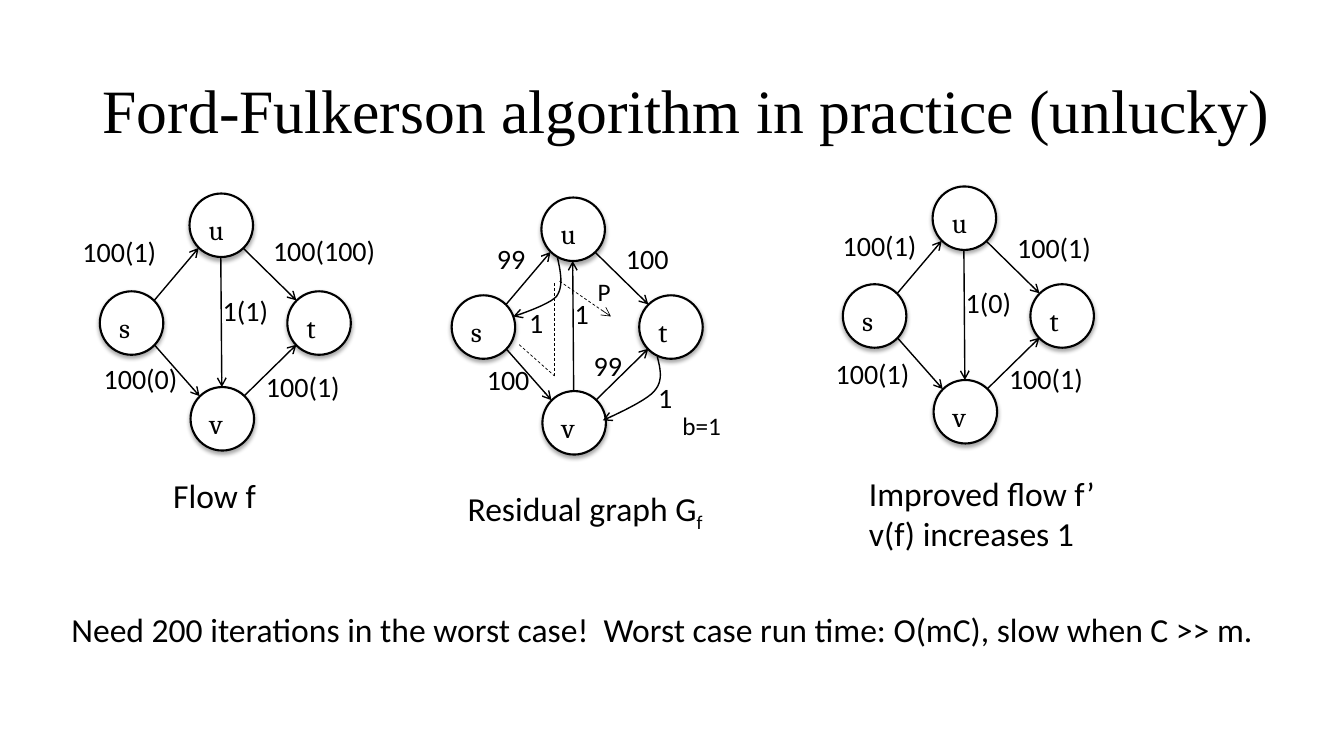
from lxml import etree
from pptx import Presentation
from pptx import util as u
from pptx.dml import color
from pptx.enum import dml, shapes, text
from pptx.oxml import ns

HUES = {"ink": "000000", "paper": "FFFFFF"}


class Board:
    """Holds the style and the current slide and draws each kind of element."""

    fonts = {"title": "Times New Roman", "node": "Cambria", "body": "Calibri"}
    size = 0.63

    def __init__(self, slide):
        self.slide = slide
        self.items = slide.shapes

    def hue(self, name):
        return color.RGBColor.from_string(HUES[name])

    def style(self, para, size, face="body"):
        para.font.size = u.Pt(size)
        para.font.name = self.fonts[face]
        para.font.color.rgb = self.hue("ink")

    def stroke(self, item, width, dash=False, arrow=False):
        item.line.color.rgb = self.hue("ink")
        item.line.width = u.Pt(width)
        if dash:
            item.line.dash_style = dml.MSO_LINE.DASH
        if arrow:
            line = item._element.spPr.find(ns.qn("a:ln"))
            etree.SubElement(line, ns.qn("a:tailEnd"), type="arrow")

    def title(self, words, x, y, w, h):
        box = self.items.add_textbox(*map(u.Inches, (x, y, w, h)))
        frame = box.text_frame
        frame.word_wrap = True
        frame.vertical_anchor = text.MSO_ANCHOR.MIDDLE
        para = frame.paragraphs[0]
        para.text = words
        para.line_spacing = 0.9
        self.style(para, 44, "title")

    def note(self, lines, x, y, w, h=0.5, size=24, sub=None):
        box = self.items.add_textbox(*map(u.Inches, (x, y, w, h)))
        frame = box.text_frame
        frame.word_wrap = False
        frame.auto_size = text.MSO_AUTO_SIZE.SHAPE_TO_FIT_TEXT
        frame.text = lines
        if sub:
            run = frame.paragraphs[0].add_run()
            run.text = sub
            run._r.get_or_add_rPr().set("baseline", "-25000")
        for para in frame.paragraphs:
            self.style(para, size)

    def label(self, words, x, y):
        marks = sum(sign in "()" for sign in words)
        wide = 0.2 + 0.14 * (len(words) - marks) + 0.09 * marks
        self.note(words, x, y, wide, 0.44, 20)

    def node(self, name, x, y):
        disc = self.items.add_shape(
            shapes.MSO_SHAPE.OVAL, *map(u.Inches, (x, y, self.size, self.size)))
        disc.fill.solid()
        disc.fill.fore_color.rgb = self.hue("paper")
        self.stroke(disc, 1.5)
        disc.shadow.inherit = False
        glow = etree.SubElement(
            disc._element.spPr.find(ns.qn("a:effectLst")), ns.qn("a:outerShdw"),
            blurRad=str(u.Pt(3)), dist=str(u.Pt(2)), dir="5400000", rotWithShape="0")
        tint = etree.SubElement(glow, ns.qn("a:srgbClr"), val=HUES["ink"])
        etree.SubElement(tint, ns.qn("a:alpha"), val="35000")
        frame = disc.text_frame
        frame.margin_left = frame.margin_right = u.Inches(0.1)
        frame.margin_top = frame.margin_bottom = u.Inches(0.1)
        frame.vertical_anchor = text.MSO_ANCHOR.TOP
        para = frame.paragraphs[0]
        para.text = name
        para.alignment = text.PP_ALIGN.LEFT
        self.style(para, 20, "node")

    def edge(self, start, end, width=1, dash=False, arrow=True):
        wire = self.items.add_connector(
            shapes.MSO_CONNECTOR.STRAIGHT, *map(u.Inches, (*start, *end)))
        self.stroke(wire, width, dash, arrow)
        etree.SubElement(wire._element.spPr, ns.qn("a:effectLst"))

    def curve(self, start, *parts, steps=12):
        dots, last = [], start
        for one, two, end in parts:
            for step in range(1, steps + 1):
                t = step / steps
                mix = ((1 - t) ** 3, 3 * t * (1 - t) ** 2, 3 * t * t * (1 - t), t ** 3)
                spots = (last, one, two, end)
                dots.append(tuple(
                    u.Inches(sum(m * p[axis] for m, p in zip(mix, spots)))
                    for axis in (0, 1)))
            last = end
        form = self.items.build_freeform(*map(u.Inches, start))
        form.add_line_segments(dots, close=False)
        bend = form.convert_to_shape()
        bend.fill.background()
        bend.shadow.inherit = False
        self.stroke(bend, 1, arrow=True)

    def graph(self, x, y, labels, back=False):
        spots = {"u": (0.89, 0), "t": (1.86, 0.97), "s": (0, 0.97), "v": (0.9, 1.92)}
        for name, (dx, dy) in spots.items():
            self.node(name, x + dx, y + dy)
        wires = [
            ((0.54, 1.06), (0.98, 0.54)),
            ((0.54, 1.5), (0.99, 2.01)),
            ((1.42, 0.54), (1.95, 1.06)),
            ((1.43, 2.01), (1.95, 1.5)),
        ]
        mid = ((1.2, 0.63), (1.21, 1.92))
        wires.append(mid[::-1] if back else mid)
        for ends in wires:
            self.edge(*((x + dx, y + dy) for dx, dy in ends))
        for words, left, top in labels:
            self.label(words, left, top)


def main():
    deck = Presentation()
    deck.slide_width, deck.slide_height = u.Inches(13.33), u.Inches(7.5)
    board = Board(deck.slides.add_slide(deck.slide_layouts[6]))
    board.title("Ford-Fulkerson algorithm in practice (unlucky)", 0.92, 0.4, 11.97, 1.45)

    board.graph(0.99, 1.92, [
        ("100(1)", 0.72, 2.28), ("100(100)", 2.61, 2.27), ("100(0)", 0.93, 3.54),
        ("100(1)", 2.54, 3.62), ("1(1)", 2.11, 2.86)])
    board.note("Flow f", 1.62, 4.66, 1.03)

    board.graph(4.48, 1.96, [
        ("99", 4.83, 2.35), ("100", 6.11, 2.35), ("100", 4.73, 3.55),
        ("99", 5.79, 3.41), ("1", 5.6, 2.89), ("1", 5.15, 2.98),
        ("1", 6.43, 3.73)], back=True)
    board.curve((5.53, 2.56), ((5.56, 2.7), (5.59, 2.84), (5.52, 2.94)),
                ((5.44, 3.03), (5.09, 3.14), (5.09, 3.14)))
    board.curve((6.52, 3.54), ((6.55, 3.66), (6.58, 3.78), (6.49, 3.88)),
                ((6.4, 3.99), (5.98, 4.17), (5.98, 4.17)))
    board.edge((5.15, 3.42), (5.5, 3.73), 0.5, dash=True, arrow=False)
    board.edge((5.5, 3.73), (5.5, 2.79), 0.5, dash=True, arrow=False)
    board.edge((5.55, 2.79), (6.06, 3.14), 0.5, dash=True)
    board.note("P", 5.83, 2.69, 0.33, 0.4, 18)
    board.note("b=1", 6.67, 4.02, 0.59, 0.4, 18)
    board.note("Residual graph G", 4.54, 4.79, 2.56, sub="f")

    board.graph(8.36, 1.85, [
        ("100(1)", 8.26, 2.22), ("100(1)", 9.99, 2.24), ("100(1)", 8.19, 3.49),
        ("100(1)", 9.91, 3.54), ("1(0)", 9.48, 2.78)])
    board.note("Improved flow f’\nv(f) increases 1", 8.52, 4.64, 2.47, 0.91)

    board.note("Need 200 iterations in the worst case!  Worst case run time: "
               "O(mC), slow when C >> m.", 0.61, 5.99, 11.94)
    deck.save("out.pptx")


if __name__ == "__main__":
    main()
